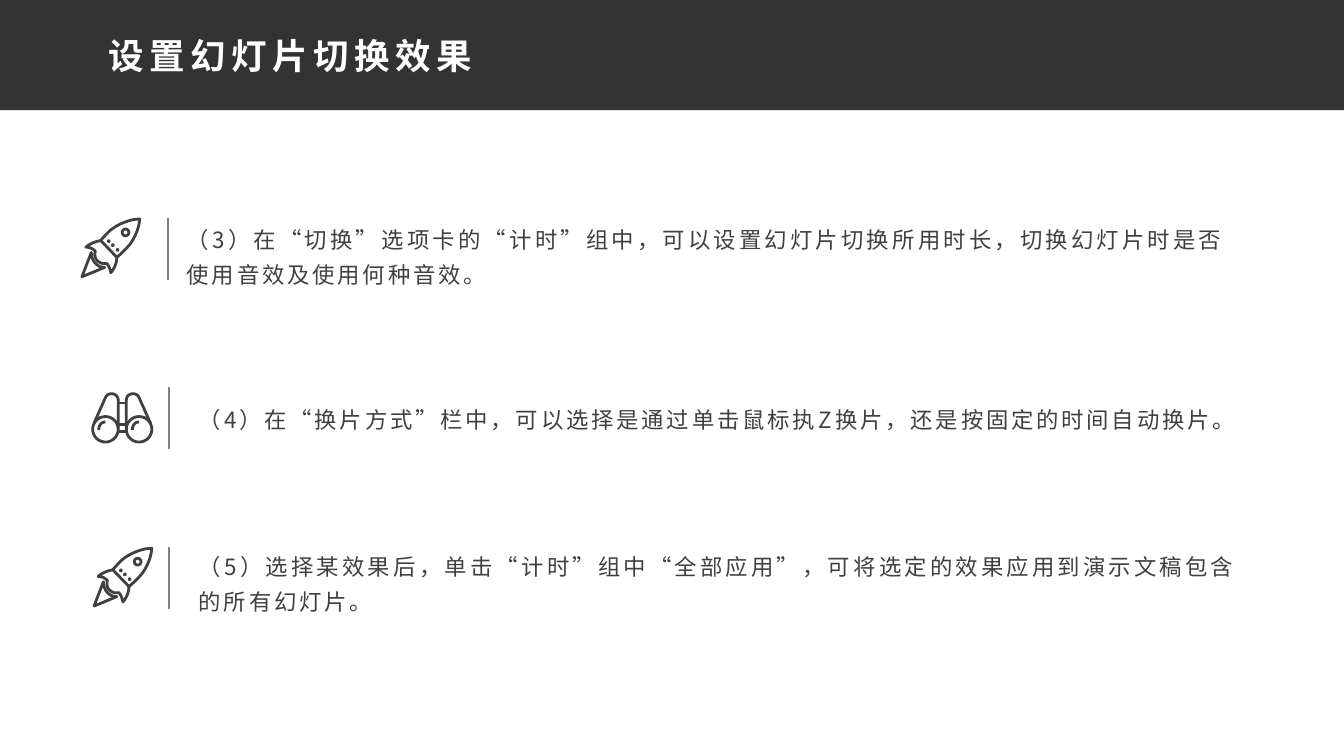
import pptx
import pptx.dml.color
import pptx.enum.shapes
import pptx.enum.text
import pptx.oxml.ns
import pptx.util
from lxml import etree
from pptx.util import Inches

DARK, GRAY = "404040", "808080"
ALIGN = pptx.enum.text.PP_ALIGN


def circle(x, y, r):
    """Return a circle as a stroke of four cubic curves."""
    k = 0.55 * r
    return [(x + r, y), (x + r, y + k, x + k, y + r, x, y + r),
            (x - k, y + r, x - r, y + k, x - r, y),
            (x - r, y - k, x - k, y - r, x, y - r),
            (x + k, y - r, x + r, y - k, x + r, y)]


# Icon strokes in hundredths of an inch: pairs are corners, sixes are cubic curves.
ROCKET = [
    [(45, 1), (38, 1, 28, 5, 22.5, 10), (20, 12.5, 18, 14.5, 16, 17), (28, 29.5),
     (31, 27, 33, 25, 35, 23), (43, 15, 45, 4, 45, 1)],
    [(16, 17), (11, 18, 7, 20, 5, 22), (8, 22, 10, 23, 12, 25), (11, 28, 12, 31, 14, 32.5),
     (16, 34, 18, 34.5, 20.5, 34), (22, 36, 23, 38, 23.5, 41), (26, 38, 28, 34, 28, 29.5)],
    [(9, 26), (2, 44), (19, 37), (13, 37, 9, 32, 9, 26)],
    circle(34.5, 11, 2.5),
    *[circle(x, y, 0.3) for x, y in ((22, 17.5), (25, 20.5), (28.5, 24))],
]
BINOCULARS = [
    [(2, 23), (10, 5), (11, 2, 13, 1, 15, 1), (18, 1, 20, 3, 20, 6), (20, 27)],
    [(44, 23), (36, 5), (35, 2, 33, 1, 31, 1), (28, 1, 26, 3, 26, 6), (26, 27)],
    *[[(20, y), (26, y)] for y in (8, 24, 29)],
    *[[(x, 28), (x, 24.5, x + 2, 22, x + 5, 22)] for x in (5.5, 30.5)],
    *[circle(x, 27.5, 9.5) for x in (10.5, 35.5)],
]


def color(value):
    """Return the colour of a hex string."""
    return pptx.dml.color.RGBColor.from_string(value)


def flatten(stroke):
    """Return the points of a stroke with its curves sampled."""
    points = [stroke[0]]
    for step in stroke[1:]:
        if len(step) == 2:
            points.append(step)
            continue
        x0, y0 = points[-1]
        x1, y1, x2, y2, x3, y3 = step
        for t in (i / 8 for i in range(1, 9)):
            a, b, c, d = (1 - t) ** 3, 3 * t * (1 - t) ** 2, 3 * t * t * (1 - t), t ** 3
            points.append((a * x0 + b * x1 + c * x2 + d * x3,
                           a * y0 + b * y1 + c * y2 + d * y3))
    return points


def add_icon(s, left, top, strokes):
    """Add a line icon as one freeform."""
    builder = None
    for stroke in strokes:
        points = [(Inches(left + x / 100), Inches(top + y / 100)) for x, y in flatten(stroke)]
        if builder is None:
            builder = s.shapes.build_freeform(*points[0])
        else:
            builder.move_to(*points[0])
        builder.add_line_segments(points[1:], close=stroke[0] == stroke[-1][-2:])
    sp = builder.convert_to_shape()
    sp.shadow.inherit = False
    sp.fill.background()
    sp.line.color.rgb = color(DARK)
    sp.line.width = pptx.util.Pt(1.5)


def add_divider(s, x, top):
    """Add the upright line between icon and text."""
    line = s.shapes.add_connector(pptx.enum.shapes.MSO_CONNECTOR.STRAIGHT,
                                  Inches(x), Inches(top), Inches(x), Inches(top + 0.46))
    line.line.color.rgb = color(GRAY)
    line.line.width = pptx.util.Pt(1.25)
    etree.SubElement(line._element.spPr, pptx.oxml.ns.qn("a:effectLst"))


def set_text(sp, text, size, font, value, spacing, align, inset=0.07):
    """Write one letter-spaced paragraph and return it."""
    tf = sp.text_frame
    tf.word_wrap = True
    tf.auto_size = pptx.enum.text.MSO_AUTO_SIZE.NONE
    tf.vertical_anchor = pptx.enum.text.MSO_ANCHOR.MIDDLE
    tf.margin_left, tf.margin_right = Inches(inset), Inches(0.07)
    tf.margin_top = tf.margin_bottom = Inches(0.04)
    p = tf.paragraphs[0]
    p.text = text
    p.alignment = align
    p.font.size = pptx.util.Pt(size)
    p.font.name = font
    p.font.color.rgb = color(value)
    r = p.runs[0]._r.get_or_add_rPr()
    r.set("spc", str(int(spacing * 100)))
    etree.SubElement(r, pptx.oxml.ns.qn("a:ea"), typeface="Noto Sans CJK SC")
    return p


def add_header(s, text):
    """Add the dark bar and put the title on it."""
    bar = s.shapes.add_shape(pptx.enum.shapes.MSO_SHAPE.RECTANGLE,
                             0, Inches(-0.01), Inches(10), Inches(0.83))
    bar.shadow.inherit = False
    bar.fill.solid()
    bar.fill.fore_color.rgb = color("333333")
    bar.line.fill.background()
    title = s.shapes.title
    bar._element.addnext(title._element)
    title.left, title.top, title.width, title.height = map(Inches, (0.63, 0.2, 3.98, 0.42))
    p = set_text(title, text, 19, "Arial", "FFFFFF", 3, ALIGN.LEFT, inset=0.18)
    p.font.bold = True


def add_item(s, text, box, spacing, align):
    """Add the text of one step."""
    sp = s.shapes.add_textbox(*map(Inches, box))
    p = set_text(sp, text, 12, "Noto Sans CJK SC", DARK, 1.5, align)
    p.line_spacing = spacing


def main():
    """Build the slide and save it."""
    prs = pptx.Presentation()
    prs.slide_width = Inches(10)
    prs.slide_height = prs.slide_width * 9 // 16
    s = prs.slides.add_slide(prs.slide_layouts[5])
    add_header(s, "设置幻灯片切换效果")
    items = [
        ("（3）在“切换”选项卡的“计时”组中，可以设置幻灯片切换所用时长，切换幻灯片时是否使用音效及使用何种音效。",
         (1.32, 1.41, 7.87, 0.95), 1.3, ALIGN.JUSTIFY, (0.59, 1.62), ROCKET, (1.25, 1.62)),
        ("（4）在“换片方式”栏中，可以选择是通过单击鼠标执Z换片，还是按固定的时间自动换片。",
         (1.41, 2.83, 7.77, 0.54), 1.2, ALIGN.LEFT, (0.68, 2.92), BINOCULARS, (1.26, 2.88)),
        ("（5）选择某效果后，单击“计时”组中“全部应用”，可将选定的效果应用到演示文稿包含的所有幻灯片。",
         (1.41, 3.86, 7.87, 0.91), 1.3, ALIGN.JUSTIFY, (0.68, 4.07), ROCKET, (1.26, 4.07)),
    ]
    for text, box, spacing, align, corner, icon, divider in items:
        add_icon(s, *corner, icon)
        add_item(s, text, box, spacing, align)
        add_divider(s, *divider)
    prs.save("out.pptx")


if __name__ == "__main__":
    main()
